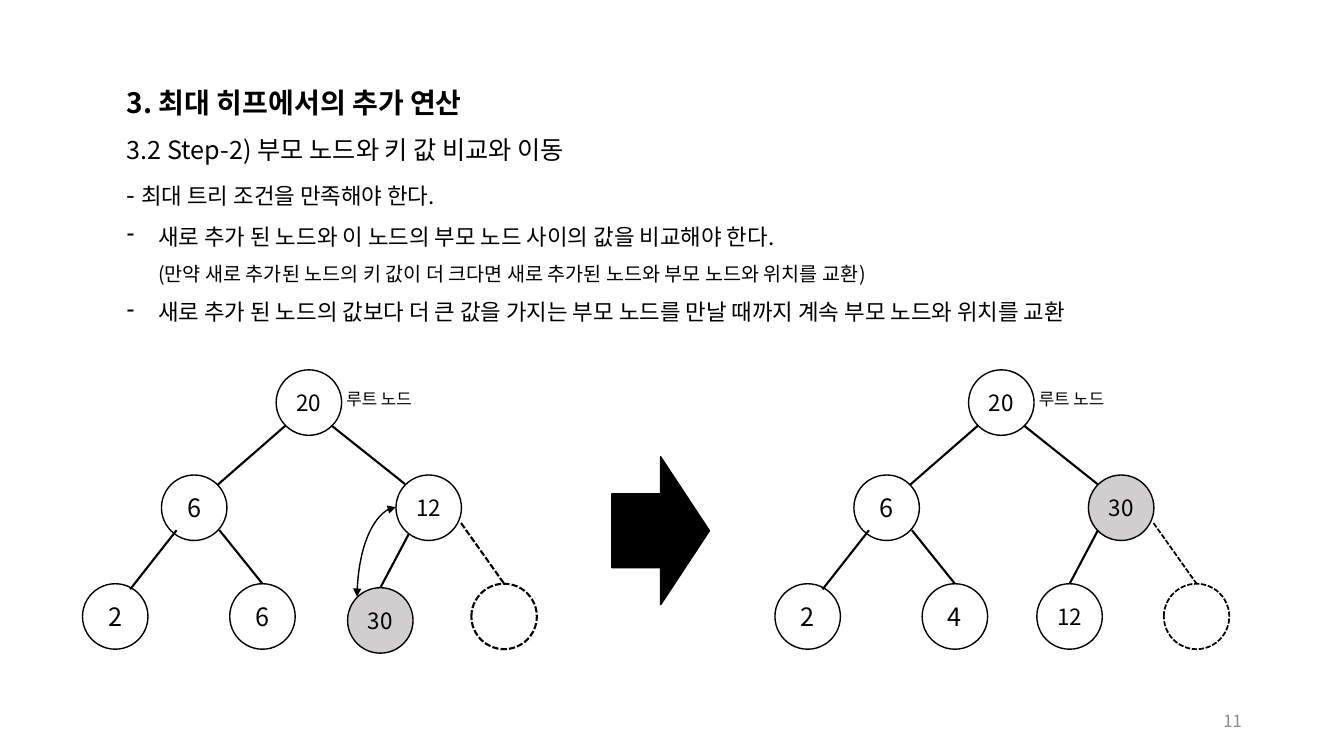
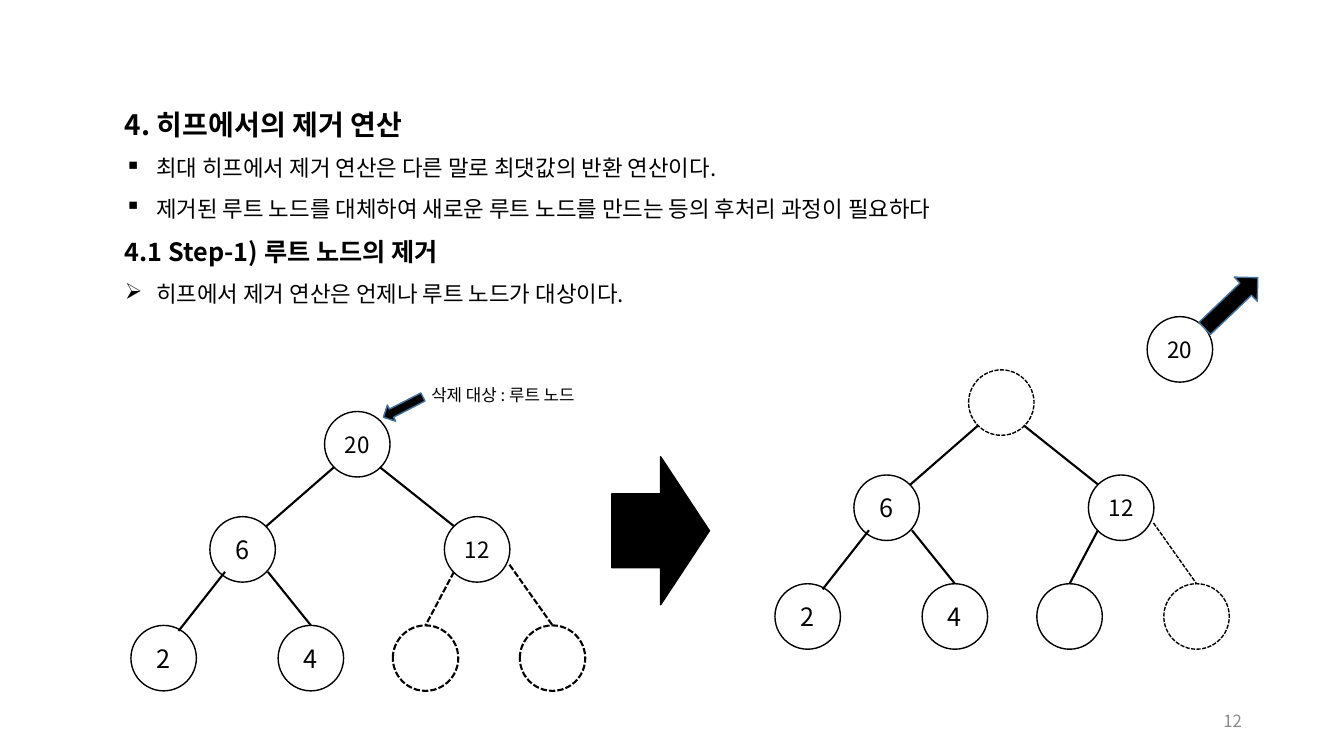
from dataclasses import dataclass
from typing import Optional

from lxml.etree import SubElement
from pptx import Presentation
from pptx.dml.color import RGBColor
from pptx.enum.dml import MSO_LINE
from pptx.enum.shapes import MSO_CONNECTOR, MSO_SHAPE
from pptx.enum.text import MSO_ANCHOR, PP_ALIGN
from pptx.oxml.ns import qn
from pptx.util import Cm, Pt

FONT = "Noto Sans CJK KR"
BLACK = RGBColor(0x00, 0x00, 0x00)
WHITE = RGBColor(0xFF, 0xFF, 0xFF)
GRAY = RGBColor(0xD0, 0xCE, 0xCE)
PAGE_GRAY = RGBColor(0x8C, 0x8C, 0x8C)
ARROW_BLUE = RGBColor(0x43, 0x73, 0x9E)
DIAMETER = 1.65
INDENT = 0.79


@dataclass(frozen=True)
class Run:
    text: str
    size: float
    bold: bool = False
    color: RGBColor = BLACK
    new_line: bool = False


@dataclass(frozen=True)
class Para:
    runs: tuple[Run, ...]
    bullet: str = ""


@dataclass(frozen=True)
class Node:
    text: str = ""
    fill: Optional[RGBColor] = None
    dashed: bool = False
    dx: float = 0
    dy: float = 0


@dataclass(frozen=True)
class Edge:
    child: str
    start: tuple[float, float]
    end: Optional[tuple[float, float]] = None


@dataclass(frozen=True)
class Tree:
    left: float
    top: float
    nodes: dict[str, Node]
    dash_width: float = 1.5


@dataclass(frozen=True)
class Arrow:
    kind: MSO_SHAPE
    left: float
    top: float
    width: float
    height: float
    line: RGBColor = BLACK
    rotation: float = 0


PLACES = {
    "root": (4.88, 0),
    "left": (1.99, 2.65),
    "right": (7.9, 2.65),
    "left_left": (0, 5.39),
    "left_right": (3.71, 5.39),
    "right_left": (6.6, 5.39),
    "right_right": (9.8, 5.39),
}
EDGES = (
    Edge("left", (5.12, 1.4), (3.4, 2.9)),
    Edge("right", (6.27, 1.4), (8.13, 2.88)),
    Edge("left_left", (2.37, 4.04), (1.2, 5.53)),
    Edge("left_right", (3.45, 4.04)),
    Edge("right_left", (8.14, 4.04)),
    Edge("right_right", (9.54, 3.86)),
)
STEP_ARROW = Arrow(MSO_SHAPE.RIGHT_ARROW, 15.42, 11.51, 2.46, 3.73)
DELETE_ARROW = Arrow(MSO_SHAPE.DOWN_ARROW, 9.93, 9.7, 0.46, 1.12, ARROW_BLUE, 62.8)
REMOVE_ARROW = Arrow(MSO_SHAPE.DOWN_ARROW, 30.61, 6.71, 0.84, 1.85, ARROW_BLUE, 226.3)


def heap(root: Node, right: Node, left_right: str, right_left: Node) -> dict[str, Node]:
    return {
        "root": root,
        "left": Node("6"),
        "right": right,
        "left_left": Node("2"),
        "left_right": Node(left_right),
        "right_left": right_left,
        "right_right": Node(dashed=True),
    }


def add_run(p, run: Run) -> None:
    if run.new_line:
        p.add_line_break()
        SubElement(p._p[-1], qn("a:rPr"), sz=str(int(run.size * 100)))
    r = p.add_run()
    r.text = run.text
    r.font.size = Pt(run.size)
    r.font.bold = run.bold
    r.font.name = FONT
    r.font.color.rgb = run.color
    SubElement(r._r.get_or_add_rPr(), qn("a:ea"), typeface=FONT)


def add_text(slide, left: float, top: float, width: float, height: float):
    sp = slide.shapes.add_textbox(Cm(left), Cm(top), Cm(width), Cm(height))
    sp.text_frame.word_wrap = True
    return sp.text_frame


def add_body(slide, left: float, top: float, height: float, paras: tuple[Para, ...]) -> None:
    tf = add_text(slide, left, top, 26.19, height)
    for i, para in enumerate(paras):
        p = tf.add_paragraph() if i else tf.paragraphs[0]
        p.line_spacing = 1.5
        if para.bullet:
            pPr = p._p.get_or_add_pPr()
            pPr.set("marL", str(Cm(INDENT)))
            pPr.set("indent", str(-Cm(INDENT)))
            SubElement(pPr, qn("a:buChar"), char=para.bullet)
        for run in para.runs:
            add_run(p, run)


def add_label(slide, left: float, top: float, width: float, text: str) -> None:
    tf = add_text(slide, left, top, width, 0.77)
    add_run(tf.paragraphs[0], Run(text, 12))


def add_page_number(slide, number: int) -> None:
    tf = add_text(slide, 23.93, 17.65, 7.62, 1.01)
    tf.vertical_anchor = MSO_ANCHOR.MIDDLE
    p = tf.paragraphs[0]
    p.alignment = PP_ALIGN.RIGHT
    add_run(p, Run(str(number), 12, color=PAGE_GRAY))


def style_line(line, width: float, dashed: bool = False, color: RGBColor = BLACK) -> None:
    line.color.rgb = color
    line.width = Pt(width)
    if dashed:
        line.dash_style = MSO_LINE.SQUARE_DOT


def add_node(slide, left: float, top: float, node: Node, dash_width: float = 1):
    sp = slide.shapes.add_shape(
        MSO_SHAPE.OVAL, Cm(left), Cm(top), Cm(DIAMETER), Cm(DIAMETER))
    sp.shadow.inherit = False
    if node.fill is None:
        sp.fill.background()
    else:
        sp.fill.solid()
        sp.fill.fore_color.rgb = node.fill
    style_line(sp.line, dash_width if node.dashed else 1, node.dashed)
    if node.text:
        tf = sp.text_frame
        tf.word_wrap = False
        tf.margin_left = tf.margin_right = tf.margin_top = tf.margin_bottom = 0
        tf.vertical_anchor = MSO_ANCHOR.MIDDLE
        p = tf.paragraphs[0]
        p.alignment = PP_ALIGN.CENTER
        add_run(p, Run(node.text, 18 if len(node.text) == 1 else 16))
    return sp


def add_link(slide, kind: MSO_CONNECTOR, start: tuple[float, float],
             end: tuple[float, float], width: float, dashed: bool = False):
    cxn = slide.shapes.add_connector(
        kind, Cm(start[0]), Cm(start[1]), Cm(end[0]), Cm(end[1]))
    style_line(cxn.line, width, dashed)
    SubElement(cxn.element.spPr, qn("a:effectLst"))
    return cxn


def add_tree(slide, tree: Tree) -> None:
    shapes = {}
    for name, node in tree.nodes.items():
        x, y = PLACES[name]
        shapes[name] = add_node(slide, tree.left + x + node.dx,
                                tree.top + y + node.dy, node, tree.dash_width)
    for edge in EDGES:
        child = tree.nodes[edge.child]
        left, top = tree.left + child.dx, tree.top + child.dy
        x, y = edge.end or PLACES[edge.child]
        cxn = add_link(slide, MSO_CONNECTOR.STRAIGHT,
                       (left + edge.start[0], top + edge.start[1]), (left + x, top + y),
                       tree.dash_width if child.dashed else 1.5, child.dashed)
        if edge.end is None:
            cxn.end_connect(shapes[edge.child], 0)


def add_swap_curve(slide) -> None:
    cxn = add_link(slide, MSO_CONNECTOR.CURVE, (9.98, 12.78), (9, 15.04), 1)
    cxn.element.spPr.find(qn("a:prstGeom")).set("prst", "curvedConnector2")
    ln = cxn.line._get_or_add_ln()
    for end in ("a:headEnd", "a:tailEnd"):
        SubElement(ln, qn(end), type="triangle")


def add_arrow(slide, arrow: Arrow) -> None:
    sp = slide.shapes.add_shape(arrow.kind, Cm(arrow.left), Cm(arrow.top),
                                Cm(arrow.width), Cm(arrow.height))
    sp.shadow.inherit = False
    sp.rotation = arrow.rotation
    sp.fill.solid()
    sp.fill.fore_color.rgb = BLACK
    style_line(sp.line, 1, color=arrow.line)


def build_insertion(slide) -> None:
    add_body(slide, 2.95, 1.6, 6.71, (
        Para((Run("3. 최대 히프에서의 추가 연산", 20, True),)),
        Para((Run("3.2 Step-2) 부모 노드와 키 값 비교와 이동", 18),)),
        Para((Run("- ", 18), Run("최대 트리 조건을 만족해야 한다.", 16))),
        Para((Run("새로 추가 된 노드와 이 노드의 부모 노드 사이의 값을 비교해야 한다.", 16),
              Run("(만약 새로 추가된 노드의 키 값이 더 크다면 새로 추가된 노드와 "
                  "부모 노드와 위치를 교환)", 14, new_line=True)), "-"),
        Para((Run("새로 추가 된 노드의 값보다 더 큰 값을 가지는 부모 노드를 만날 때까지 "
                  "계속 부모 노드와 위치를 교환", 16),), "-"),
    ))
    before = heap(Node("20"), Node("12"), "6", Node("30", GRAY, dx=0.08, dy=0.1))
    after = heap(Node("20"), Node("30", GRAY), "4", Node("12", WHITE))
    for tree in (Tree(2.08, 9.32, before), Tree(19.53, 9.32, after, 1.25)):
        add_tree(slide, tree)
        add_label(slide, tree.left + 6.4, tree.top + 0.36, 3.18, "루트 노드")
    add_swap_curve(slide)
    add_arrow(slide, STEP_ARROW)


def build_removal(slide) -> None:
    add_body(slide, 2.9, 2.16, 5.69, (
        Para((Run("4. 히프에서의 제거 연산", 20, True),)),
        Para((Run("최대 히프에서 제거 연산은 다른 말로 최댓값의 반환 연산이다.", 16),), "▪"),
        Para((Run("제거된 루트 노드를 대체하여 새로운 루트 노드를 만드는 등의 "
                  "후처리 과정이 필요하다", 16),), "▪"),
        Para((Run("4.1 Step-1) 루트 노드의 제거", 18, True),)),
        Para((Run("히프에서 제거 연산은 언제나 루트 노드가 대상이다.", 16),), "➢"),
    ))
    before = heap(Node("20"), Node("12"), "4", Node(dashed=True))
    after = heap(Node(dashed=True), Node("12"), "4", Node(fill=WHITE))
    add_tree(slide, Tree(3.3, 10.37, before))
    add_tree(slide, Tree(19.53, 9.32, after, 1))
    add_label(slide, 10.62, 9.58, 4.93, "삭제 대상 : 루트 노드")
    add_node(slide, 28.91, 7.98, Node("20"))
    for arrow in (DELETE_ARROW, STEP_ARROW, REMOVE_ARROW):
        add_arrow(slide, arrow)


def main() -> None:
    prs = Presentation()
    prs.slide_width, prs.slide_height = Cm(33.87), Cm(19.05)
    for number, build in enumerate((build_insertion, build_removal), start=11):
        slide = prs.slides.add_slide(prs.slide_layouts[6])
        build(slide)
        add_page_number(slide, number)
    prs.save("out.pptx")


if __name__ == "__main__":
    main()
